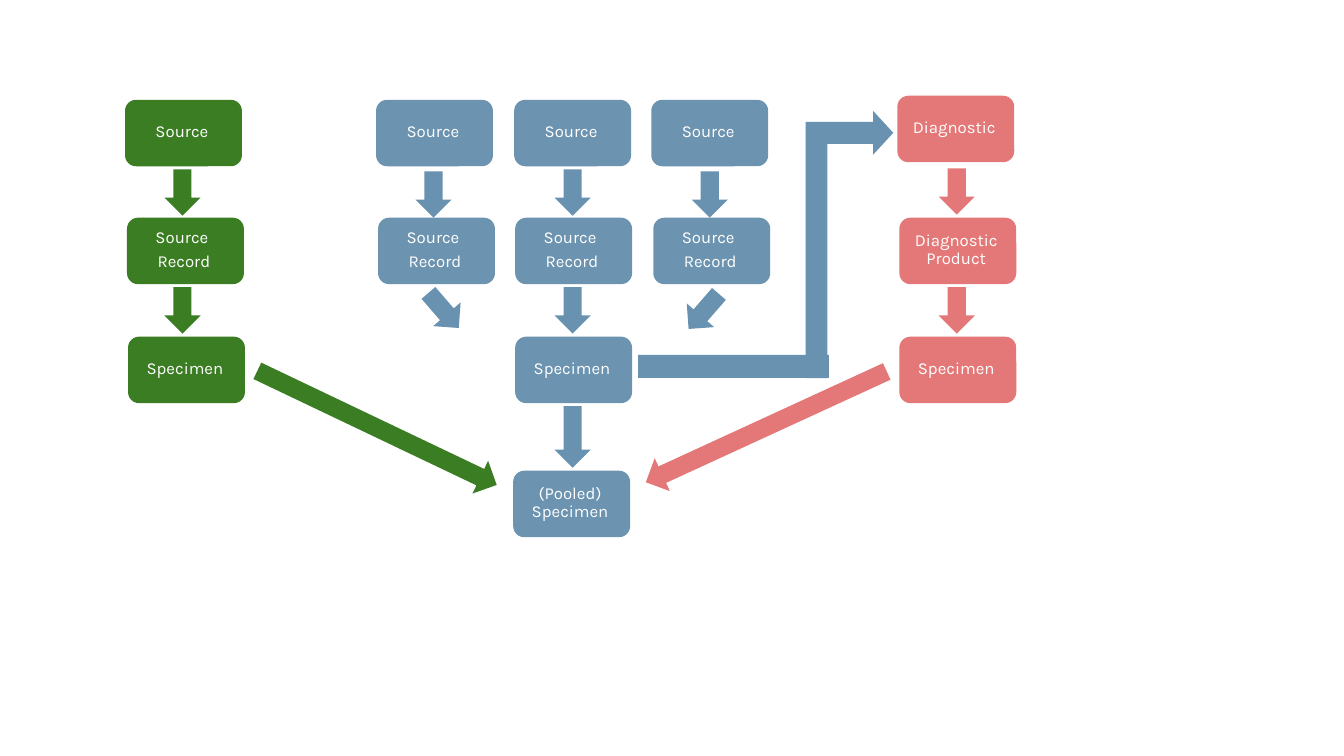
from dataclasses import dataclass

from pptx import Presentation
from pptx.dml.color import RGBColor
from pptx.enum.shapes import MSO_SHAPE
from pptx.enum.text import MSO_ANCHOR, PP_ALIGN
from pptx.shapes.autoshape import Shape
from pptx.slide import Slide
from pptx.util import Emu, Pt

EMU_PER_PX = 9144  # 100 px to the inch
GREEN, BLUE, ARROW_BLUE, CORAL = "3B7D23", "6C93AF", "6992B0", "E47878"
WHITE = "FFFFFF"
BOX_WIDTH, BOX_HEIGHT = 116, 66
SOURCE_TOP, RECORD_TOP, SPECIMEN_TOP, POOL_TOP = 99, 216, 334, 467


@dataclass(frozen=True)
class Step:
    left: int
    top: int
    color: str
    lines: tuple[str, ...]


@dataclass(frozen=True)
class Arrow:
    left: int
    top: int
    color: str
    height: int = 46
    rotation: float = 0
    width: int = 36


SOURCE = ("Source",)
RECORD = ("Source ", "Record")
SPECIMEN = ("Specimen",)

STEPS = [
    Step(124, SOURCE_TOP, GREEN, SOURCE),
    Step(126, RECORD_TOP, GREEN, RECORD),
    Step(127, SPECIMEN_TOP, GREEN, SPECIMEN),
    *(Step(left, SOURCE_TOP, BLUE, SOURCE) for left in (373, 510, 646)),
    *(Step(left, RECORD_TOP, BLUE, RECORD) for left in (375, 511, 648)),
    Step(511, SPECIMEN_TOP, BLUE, SPECIMEN),
    Step(509, POOL_TOP, BLUE, ("(Pooled) Specimen",)),
    Step(890, 95, CORAL, ("Diagnostic",)),
    Step(892, RECORD_TOP, CORAL, ("Diagnostic Product",)),
    Step(892, SPECIMEN_TOP, CORAL, SPECIMEN),
]

ARROWS = [
    Arrow(163, 168, GREEN),
    Arrow(163, 285, GREEN),
    Arrow(412, 170, ARROW_BLUE),
    Arrow(550, 168, ARROW_BLUE),
    Arrow(686, 170, ARROW_BLUE),
    Arrow(422, 285, ARROW_BLUE, rotation=319.2),
    Arrow(550, 285, ARROW_BLUE),
    Arrow(680, 286, ARROW_BLUE, rotation=40.9),
    Arrow(931, 167, CORAL),
    Arrow(931, 285, CORAL),
    Arrow(356, 293, GREEN, height=263, rotation=295.5),
    Arrow(550, 403, ARROW_BLUE, height=61),
    Arrow(742, 292, CORAL, height=263, rotation=65.3),
]


def px(length: int) -> Emu:
    return Emu(length * EMU_PER_PX)


def rgb(color: str) -> RGBColor:
    return RGBColor.from_string(color)


def add_filled(slide: Slide, preset: MSO_SHAPE, left: int, top: int,
               width: int, height: int, color: str) -> Shape:
    shape = slide.shapes.add_shape(preset, px(left), px(top), px(width), px(height))
    shape.shadow.inherit = False
    shape.fill.solid()
    shape.fill.fore_color.rgb = rgb(color)
    shape.line.fill.background()
    return shape


def add_step(slide: Slide, step: Step) -> None:
    box = add_filled(slide, MSO_SHAPE.ROUNDED_RECTANGLE, step.left, step.top,
                     BOX_WIDTH, BOX_HEIGHT, step.color)
    frame = box.text_frame
    frame.word_wrap = True
    frame.vertical_anchor = MSO_ANCHOR.MIDDLE
    frame.margin_left, frame.margin_right = px(6), px(9)
    frame.margin_top, frame.margin_bottom = px(5), px(6)
    frame.text = "\n".join(step.lines)
    for paragraph in frame.paragraphs:
        paragraph.alignment = PP_ALIGN.CENTER
        paragraph.line_spacing = 0.9
        paragraph.space_after = Pt(4.2)
        paragraph.font.name = "Karla"
        paragraph.font.size = Pt(12)
        paragraph.font.color.rgb = rgb(WHITE)


def add_arrow(slide: Slide, arrow: Arrow) -> None:
    shape = add_filled(slide, MSO_SHAPE.DOWN_ARROW, arrow.left, arrow.top,
                       arrow.width, arrow.height, arrow.color)
    shape.rotation = arrow.rotation


def add_diagnostic_route(slide: Slide) -> None:
    """Join the blue specimen to the diagnostic with a bar and a bent arrow."""
    bend = add_filled(slide, MSO_SHAPE.BENT_UP_ARROW, 710, 199, 265, 87, ARROW_BLUE)
    bend.rotation = 90
    bend.element.spPr.get_or_add_xfrm().set("flipH", "1")
    bend.adjustments[2] = 0.23
    add_filled(slide, MSO_SHAPE.RECTANGLE, 633, 352, 189, 23, ARROW_BLUE)


def main() -> None:
    presentation = Presentation()
    presentation.slide_width, presentation.slide_height = px(1333), px(750)
    slide = presentation.slides.add_slide(presentation.slide_layouts[6])
    for step in STEPS:
        add_step(slide, step)
    for arrow in ARROWS:
        add_arrow(slide, arrow)
    add_diagnostic_route(slide)
    presentation.save("out.pptx")


if __name__ == "__main__":
    main()
